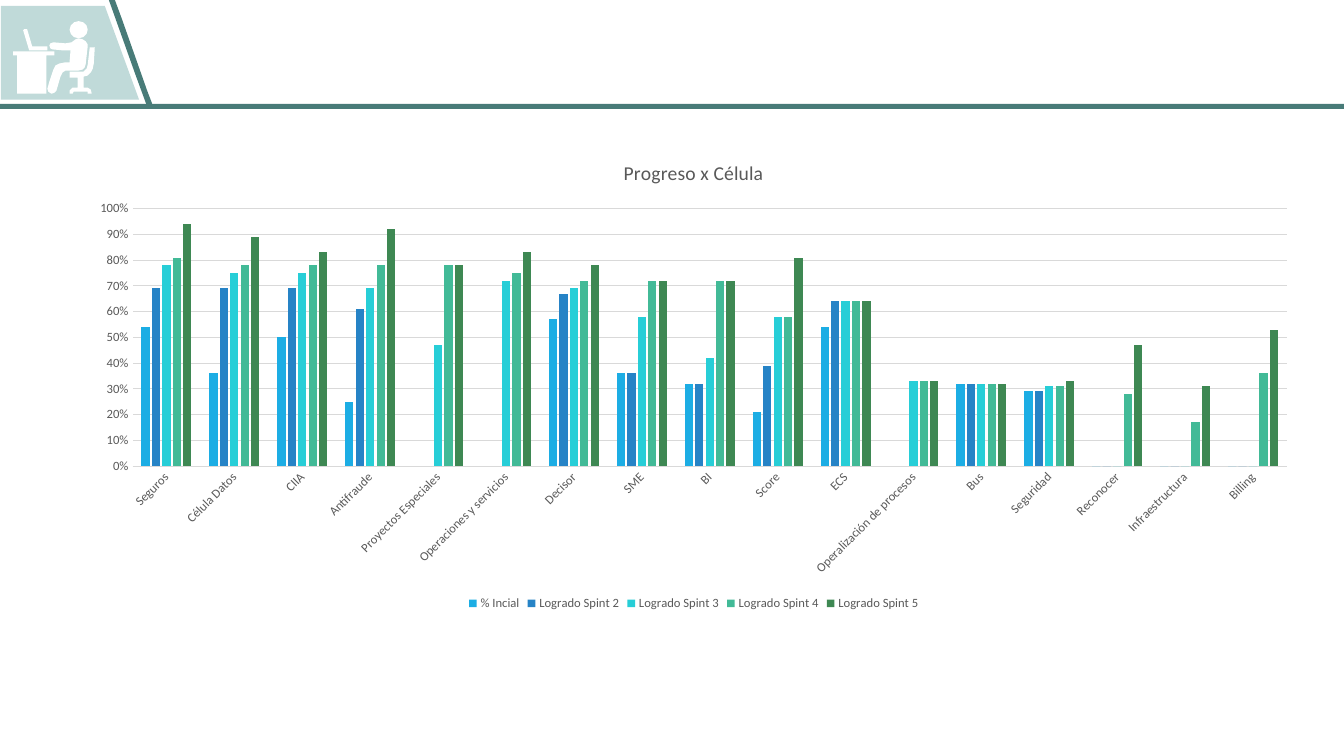
import pptx
import pptx.chart.data
import pptx.dml.color
import pptx.enum.chart
import pptx.enum.shapes
import pptx.util
from pptx.util import Inches

FONT = "Calibri"
TEAL, PALE_TEAL, WHITE = "487B78", "C0DAD9", "FFFFFF"
TEXT_GREY, LINE_GREY = "595959", "D9D9D9"

PANEL = [(0.01, 0.06), (1.04, 0.06), (1.38, 0.99), (0.01, 0.99)]
STRIPE = [(1.08, 0), (1.14, 0), (1.21, 0.19), (1.46, 0.9), (1.51, 1.03), (1.45, 1.03), (1.34, 0.73)]
RULE = (0, 1.03, 13.33, 0.05)
HEAD = (0.69, 0.21, 0.18, 0.17)
DESK = [(0.13, 0.51), (0.54, 0.51), (0.54, 0.55), (0.46, 0.55), (0.46, 0.93),
        (0.17, 0.93), (0.17, 0.55), (0.13, 0.55)]
BODY = [(0.78, 0.38), (0.82, 0.39), (0.85, 0.41), (0.87, 0.44), (0.87, 0.46), (0.85, 0.64),
        (0.84, 0.67), (0.82, 0.69), (0.78, 0.7), (0.65, 0.7), (0.62, 0.72), (0.6, 0.76),
        (0.56, 0.9), (0.54, 0.92), (0.51, 0.93), (0.48, 0.91), (0.47, 0.88), (0.49, 0.81),
        (0.53, 0.69), (0.55, 0.65), (0.59, 0.63), (0.64, 0.62), (0.69, 0.62), (0.7, 0.5),
        (0.62, 0.5), (0.52, 0.49), (0.5, 0.48), (0.49, 0.45), (0.5, 0.43), (0.53, 0.42),
        (0.65, 0.43), (0.71, 0.42), (0.75, 0.39)]
CHAIR = [(0.89, 0.47), (0.94, 0.47), (0.93, 0.63), (0.92, 0.68), (0.9, 0.72), (0.87, 0.75),
         (0.83, 0.76), (0.83, 0.87), (0.87, 0.87), (0.9, 0.89), (0.91, 0.93), (0.87, 0.93),
         (0.87, 0.91), (0.85, 0.91), (0.75, 0.91), (0.73, 0.91), (0.72, 0.93), (0.69, 0.93),
         (0.69, 0.9), (0.72, 0.87), (0.77, 0.87), (0.77, 0.77), (0.69, 0.77), (0.69, 0.71),
         (0.79, 0.71), (0.83, 0.71), (0.86, 0.68), (0.87, 0.64)]
LAPTOP = [(0.24, 0.29), (0.27, 0.29), (0.32, 0.46), (0.47, 0.46), (0.47, 0.5), (0.29, 0.5), (0.23, 0.3)]

CHART_BOX = (0.75, 1.4, 12.26, 4.7)
CHART_TITLE = "Progreso x Célula"
CELLS = ["Seguros", "Célula Datos", "CIIA", "Antifraude", "Proyectos Especiales",
         "Operaciones y servicios", "Decisor", "SME", "BI", "Score", "ECS",
         "Operalización de procesos", "Bus", "Seguridad", "Reconocer", "Infraestructura", "Billing"]
SERIES = [
    ("% Incial", "1CADE4", [0.54, 0.36, 0.5, 0.25, None, None, 0.57, 0.36, 0.32, 0.21, 0.54,
                            None, 0.32, 0.29, 0, 0, 0]),
    ("Logrado Spint 2", "2683C6", [0.69, 0.69, 0.69, 0.61, None, None, 0.67, 0.36, 0.32, 0.39, 0.64,
                                   None, 0.32, 0.29, 0, 0, 0]),
    ("Logrado Spint 3", "27CED7", [0.78, 0.75, 0.75, 0.69, 0.47, 0.72, 0.69, 0.58, 0.42, 0.58, 0.64,
                                   0.33, 0.32, 0.31, 0, 0, 0]),
    ("Logrado Spint 4", "42BA97", [0.81, 0.78, 0.78, 0.78, 0.78, 0.75, 0.72, 0.72, 0.72, 0.58, 0.64,
                                   0.33, 0.32, 0.31, 0.28, 0.17, 0.36]),
    ("Logrado Spint 5", "3E8853", [0.94, 0.89, 0.83, 0.92, 0.78, 0.83, 0.78, 0.72, 0.72, 0.81, 0.64,
                                   0.33, 0.32, 0.33, 0.47, 0.31, 0.53]),
]


def paint(fill, color):
    fill.solid()
    fill.fore_color.rgb = pptx.dml.color.RGBColor.from_string(color)


def style_font(font, size):
    font.name, font.size, font.bold = FONT, pptx.util.Pt(size), False
    paint(font.fill, TEXT_GREY)


def style_line(line):
    line.width = pptx.util.Pt(0.75)
    paint(line.fill, LINE_GREY)


def finish(shape, color):
    paint(shape.fill, color)
    shape.line.fill.background()
    shape.shadow.inherit = False


def add_outline(shapes, points, color):
    corners = [(Inches(x), Inches(y)) for x, y in points]
    builder = shapes.build_freeform(*corners[0])
    builder.add_line_segments(corners[1:], close=True)
    finish(builder.convert_to_shape(), color)


def add_preset(shapes, kind, box, color):
    finish(shapes.add_shape(kind, *map(Inches, box)), color)


def add_header(shapes):
    presets = pptx.enum.shapes.MSO_SHAPE
    add_outline(shapes, PANEL, PALE_TEAL)
    add_preset(shapes, presets.RECTANGLE, RULE, TEAL)
    add_outline(shapes, STRIPE, TEAL)
    icon = shapes.add_group_shape()
    for points in (DESK, BODY, CHAIR, LAPTOP):
        add_outline(icon.shapes, points, WHITE)
    add_preset(icon.shapes, presets.OVAL, HEAD, WHITE)


def add_progress_chart(shapes):
    data = pptx.chart.data.CategoryChartData(number_format="0%")
    data.categories = CELLS
    for name, _, values in SERIES:
        data.add_series(name, values)
    kind = pptx.enum.chart.XL_CHART_TYPE.COLUMN_CLUSTERED
    chart = shapes.add_chart(kind, *map(Inches, CHART_BOX), data).chart
    style_font(chart.font, 9)

    chart.has_title = True
    chart.chart_title.include_in_layout = False
    title = chart.chart_title.text_frame
    title.text = CHART_TITLE
    style_font(title.paragraphs[0].font, 14)

    chart.has_legend = True
    chart.legend.position = pptx.enum.chart.XL_LEGEND_POSITION.BOTTOM
    chart.legend.include_in_layout = False
    style_font(chart.legend.font, 9)

    plot = chart.plots[0]
    plot.gap_width, plot.overlap, plot.vary_by_categories = 219, -27, False
    for series, (_, color, _) in zip(plot.series, SERIES):
        paint(series.format.fill, color)
        series.invert_if_negative = False

    for axis in (chart.category_axis, chart.value_axis):
        axis.major_tick_mark = axis.minor_tick_mark = pptx.enum.chart.XL_TICK_MARK.NONE
        style_font(axis.tick_labels.font, 9)
    style_line(chart.category_axis.format.line)
    values = chart.value_axis
    values.minimum_scale, values.maximum_scale, values.major_unit = 0, 1, 0.1
    values.tick_labels.number_format = "0%"
    values.tick_labels.number_format_is_linked = False
    values.format.line.fill.background()
    values.has_major_gridlines = True
    style_line(values.major_gridlines.format.line)


def main():
    presentation = pptx.Presentation()
    presentation.slide_width, presentation.slide_height = Inches(13.33), Inches(7.5)
    slide = presentation.slides.add_slide(presentation.slide_layouts[6])
    add_header(slide.shapes)
    add_progress_chart(slide.shapes)
    presentation.save("out.pptx")


if __name__ == "__main__":
    main()
